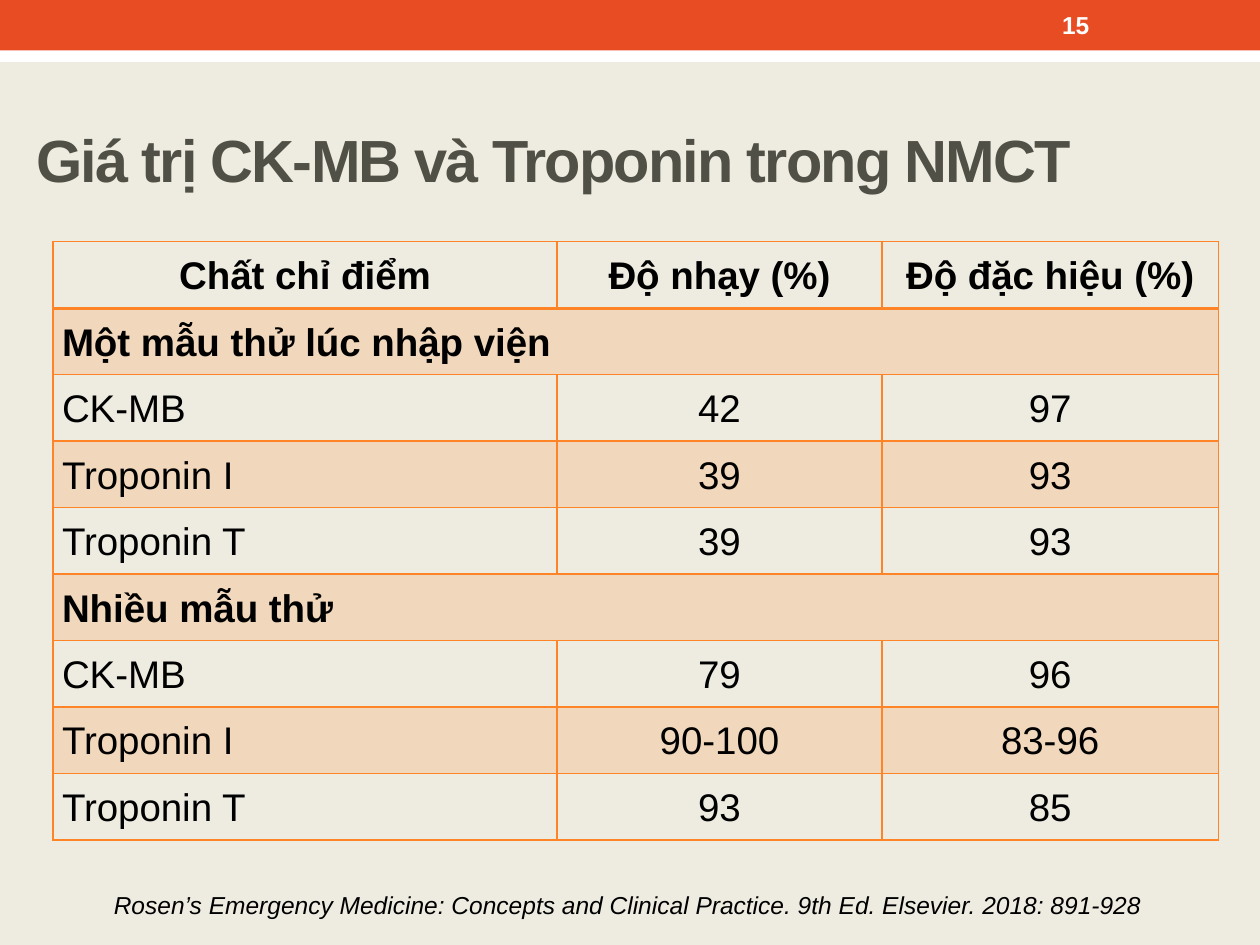
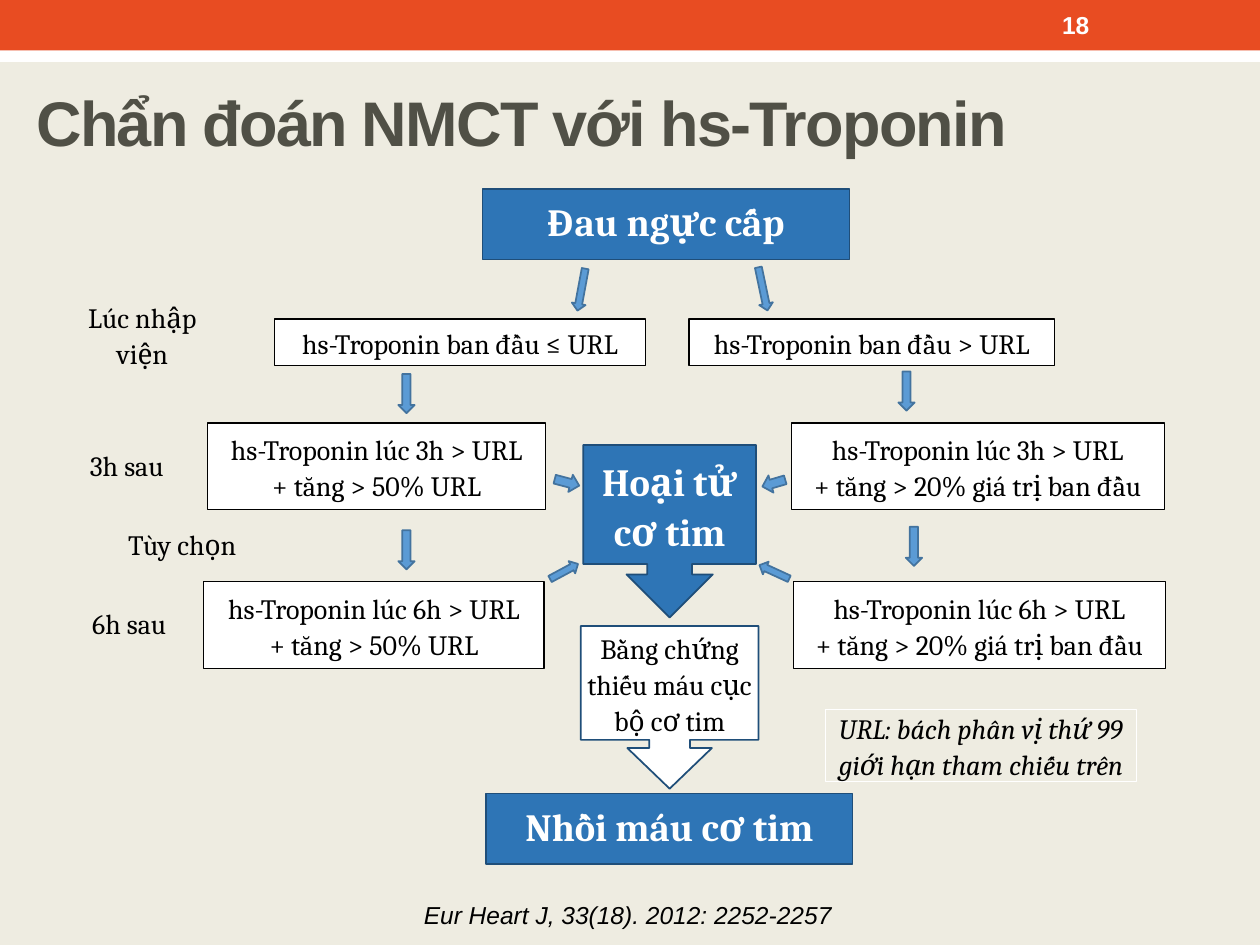
"""Builds two slides on CK-MB and troponin in the diagnosis of myocardial infarction."""
from lxml.etree import SubElement
from pptx import Presentation
from pptx.dml.color import RGBColor
from pptx.enum.shapes import MSO_SHAPE
from pptx.enum.text import MSO_ANCHOR, MSO_AUTO_SIZE, PP_ALIGN
from pptx.oxml.ns import qn
from pptx.util import Cm, Pt

BEIGE = RGBColor(0xEE, 0xEC, 0xE1)
WHITE = RGBColor(0xFF, 0xFF, 0xFF)
BLACK = RGBColor(0x00, 0x00, 0x00)
RED = RGBColor(0xE8, 0x4C, 0x22)
GREY = RGBColor(0x50, 0x50, 0x46)
ORANGE = RGBColor(0xFF, 0x84, 0x27)
BLUE = RGBColor(0x2E, 0x75, 0xB6)
NAVY = RGBColor(0x1F, 0x4E, 0x79)
SKY = RGBColor(0x5B, 0x9B, 0xD5)
STEEL = RGBColor(0x43, 0x73, 0x9E)

MARKERS = [
    ("Chất chỉ điểm", "Độ nhạy (%)", "Độ đặc hiệu (%)"),
    ("Một mẫu thử lúc nhập viện",),
    ("CK-MB", "42", "97"),
    ("Troponin I", "39", "93"),
    ("Troponin T", "39", "93"),
    ("Nhiều mẫu thử",),
    ("CK-MB", "79", "96"),
    ("Troponin I", "90-100", "83-96"),
    ("Troponin T", "93", "85"),
]
TESTS = [
    ("hs-Troponin ban đầu ≤ URL", (5.54, 6.43, 7.47, 0.94)),
    ("hs-Troponin ban đầu > URL", (13.89, 6.43, 7.37, 0.94)),
    ("hs-Troponin lúc 3h > URL\n+ tăng > 50% URL", (4.19, 8.53, 6.81, 1.75)),
    ("hs-Troponin lúc 3h > URL\n+ tăng > 20% giá trị ban đầu", (15.95, 8.53, 7.52, 1.75)),
    ("hs-Troponin lúc 6h > URL\n+ tăng > 50% URL", (4.11, 11.73, 6.86, 1.75)),
    ("hs-Troponin lúc 6h > URL\n+ tăng > 20% giá trị ban đầu", (16, 11.73, 7.49, 1.75)),
]
TIMES = [
    ("Lúc nhập viện", (1.55, 6.02, 2.64, 1.45)),
    ("3h sau", (1.27, 8.64, 2.57, 1.45)),
    ("Tùy chọn", (2.39, 10.41, 2.57, 1.07)),
    ("6h sau", (1.32, 11.81, 2.57, 1.45)),
]
ARROWS = [
    ((11.58, 5.41, 0.28, 0.86), 10.5),
    ((15.24, 5.38, 0.28, 0.89), 348.1),
    ((8.03, 7.54, 0.33, 0.79), 0),
    ((18.11, 7.49, 0.33, 0.79), 0),
    ((8.03, 10.69, 0.33, 0.79), 0),
    ((18.26, 10.62, 0.33, 0.79), 0),
    ((11.25, 9.47, 0.36, 0.51), 284.7),
    ((15.42, 9.5, 0.36, 0.48), 73.6),
    ((11.23, 11.2, 0.28, 0.64), 241.7),
    ((15.47, 11.2, 0.28, 0.66), 114.7),
]


class Deck:
    """Holds the shared style and the slide being filled."""

    def __init__(self):
        self.prs = Presentation()
        self.prs.slide_width, self.prs.slide_height = Cm(25.4), Cm(19.05)
        self.slide = None

    def start(self, number, title, top, size):
        """Adds a slide with its bands, page number and title."""
        self.slide = self.prs.slides.add_slide(self.prs.slide_layouts[5])
        fill = self.slide.background.fill
        fill.solid()
        fill.fore_color.rgb = BEIGE
        self.shape(MSO_SHAPE.RECTANGLE, (0, 0.61, 25.4, 0.64), WHITE)
        self.shape(MSO_SHAPE.RECTANGLE, (0, 0, 25.4, 1.02), RED)
        self.text(number, (21.16, 0.05, 2.97, 0.91), 14, WHITE, bold=True,
                  font="Arial", align=PP_ALIGN.LEFT, spacing=1, inset=None)
        heading = self.slide.shapes.title
        heading.left, heading.top, heading.width, heading.height = map(Cm, (0.48, top, 22.76, 2.74))
        self.set_text(heading.text_frame, title, size, GREY, bold=True, font="Arial",
                      align=PP_ALIGN.LEFT, spacing=1, inset=None)
        heading.text_frame.paragraphs[0].runs[0]._r.get_or_add_rPr().set("spc", "-100")

    def set_text(self, frame, text, size, color=BLACK, bold=False, italic=False, font="Cambria",
                 align=PP_ALIGN.CENTER, anchor=MSO_ANCHOR.MIDDLE, spacing=1.07, inset=0):
        """Fills a text frame and formats its runs."""
        frame.text = text
        frame.word_wrap = True
        frame.auto_size = MSO_AUTO_SIZE.NONE
        frame.vertical_anchor = anchor
        if inset is not None:
            frame.margin_left = frame.margin_right = Cm(inset)
            frame.margin_top = frame.margin_bottom = Cm(inset)
        for paragraph in frame.paragraphs:
            self.style_paragraph(paragraph, size, color, bold, italic, font, align, spacing)

    def style_paragraph(self, paragraph, size, color, bold, italic, font, align, spacing):
        """Sets the alignment and run fonts of a paragraph."""
        paragraph.alignment = align
        paragraph.line_spacing = spacing
        for run in paragraph.runs:
            run.font.name, run.font.size = font, Pt(size)
            run.font.bold, run.font.italic = bold, italic
            run.font.color.rgb = color

    def text(self, text, box, size, color=BLACK, **style):
        """Adds a text box."""
        label = self.slide.shapes.add_textbox(*map(Cm, box))
        self.set_text(label.text_frame, text, size, color, **style)

    def shape(self, kind, box, fill=None, line=None, width=0.75, turn=0, adjust=()):
        """Adds a preset shape."""
        figure = self.slide.shapes.add_shape(kind, *map(Cm, box))
        figure.shadow.inherit = False
        figure.rotation = turn
        for index, value in enumerate(adjust):
            figure.adjustments[index] = value
        for part, color in ((figure.fill, fill), (figure.line.fill, line)):
            if color is None:
                part.background()
            else:
                part.solid()
                part.fore_color.rgb = color
        if line is not None:
            figure.line.width = Pt(width)
        return figure

    def box(self, text, box, fill, line, size=16, color=BLACK, kind=MSO_SHAPE.RECTANGLE,
            width=0.75, adjust=(), **style):
        """Adds a preset shape with text."""
        figure = self.shape(kind, box, fill, line, width, adjust=adjust)
        self.set_text(figure.text_frame, text, size, color, **style)

    def citation(self, text, top):
        """Adds the reference at the foot of the slide."""
        self.text(text, (1.19, top, 22.94, 0.87), 14, italic=True, font="Arial",
                  anchor=MSO_ANCHOR.TOP, inset=None)

    def border(self, cell, header):
        """Draws the four borders of a cell."""
        properties = cell._tc.get_or_add_tcPr()
        for side in "LRTB":
            width = Pt(2) if header and side == "B" else Pt(1)
            edge = SubElement(properties, qn(f"a:ln{side}"), w=str(width))
            SubElement(SubElement(edge, qn("a:solidFill")), qn("a:srgbClr"), val=str(ORANGE))

    def tint(self, cell):
        """Gives a cell a transparent orange fill."""
        cell.fill.solid()
        cell.fill.fore_color.rgb = ORANGE
        color = cell._tc.tcPr.find(qn("a:solidFill")).find(qn("a:srgbClr"))
        SubElement(color, qn("a:alpha"), val="20000")

    def table(self, rows, left, top, widths, height):
        """Adds a banded table in which one-item rows span all columns."""
        table = self.slide.shapes.add_table(
            len(rows), len(widths), Cm(left), Cm(top), Cm(sum(widths)), Cm(height * len(rows))).table
        table.horz_banding = False
        for column, width in zip(table.columns, widths):
            column.width = Cm(width)
        for r, values in enumerate(rows):
            table.rows[r].height = Cm(height)
            header, section = r == 0, len(values) == 1
            if section:
                table.cell(r, 0).merge(table.cell(r, len(widths) - 1))
            for c in range(len(widths)):
                cell = table.cell(r, c)
                self.border(cell, header)
                if r % 2:
                    self.tint(cell)
                else:
                    cell.fill.background()
                cell.vertical_anchor = MSO_ANCHOR.MIDDLE
                cell.margin_top = cell.margin_bottom = 0
                cell.margin_left = cell.margin_right = Cm(0.05 if header and c == 2 else 0.18)
                if c < len(values):
                    cell.text = values[c]
                    align = PP_ALIGN.CENTER if header or c else PP_ALIGN.JUSTIFY
                    self.style_paragraph(cell.text_frame.paragraphs[0], 22, BLACK,
                                         header or section, False, "Arial", align, 1.07)
            if section and r % 2 == 0:
                raise ValueError("section rows belong on tinted bands")


def marker_values(deck):
    """Builds the table of sensitivity and specificity."""
    deck.start("15", "Giá trị CK-MB và Troponin trong NMCT", 1.83, 34)
    deck.table(MARKERS, 1.07, 4.87, (10.16, 6.55, 6.78), 1.34)
    deck.citation("Rosen’s Emergency Medicine: Concepts and Clinical Practice. "
                  "9th Ed. Elsevier. 2018: 891-928", 17.78)


def troponin_pathway(deck):
    """Builds the hs-Troponin decision diagram."""
    deck.start("18", "Chẩn đoán NMCT với hs-Troponin", 1.07, 36)
    for text, left, top in (("Đau ngực cấp", 9.73, 3.81), ("Nhồi máu cơ tim", 9.8, 16)):
        deck.box(text, (left, top, 7.39, 1.42), BLUE, NAVY, 22, WHITE, bold=True,
                 anchor=MSO_ANCHOR.TOP, inset=None)
    for text, place in TESTS:
        deck.box(text, place, WHITE, BLACK)
    for text, place in TIMES:
        deck.text(text, place, 16)
    deck.box("Hoại tử cơ tim", (11.76, 8.97, 3.48, 3.48), BLUE, NAVY, 22, WHITE,
             MSO_SHAPE.DOWN_ARROW_CALLOUT, 1, (0.26, 0.25, 0.25, 0.69), bold=True, inset=None)
    deck.box("Bằng chứng thiếu máu cục bộ cơ tim", (11.71, 12.62, 3.58, 3.28), WHITE, NAVY,
             kind=MSO_SHAPE.DOWN_ARROW_CALLOUT, width=1, adjust=(0.25, 0.26, 0.25, 0.7))
    deck.box("URL: bách phân vị thứ 99 giới hạn tham chiếu trên", (16.64, 14.3, 6.27, 1.45),
             None, WHITE, italic=True, anchor=MSO_ANCHOR.TOP)
    for place, turn in ARROWS:
        deck.shape(MSO_SHAPE.DOWN_ARROW, place, SKY, STEEL, 1, turn)
    deck.citation("Eur Heart J, 33(18). 2012: 2252-2257", 17.98)


def main():
    """Builds both slides and saves the file."""
    deck = Deck()
    marker_values(deck)
    troponin_pathway(deck)
    deck.prs.save("out.pptx")


if __name__ == "__main__":
    main()
